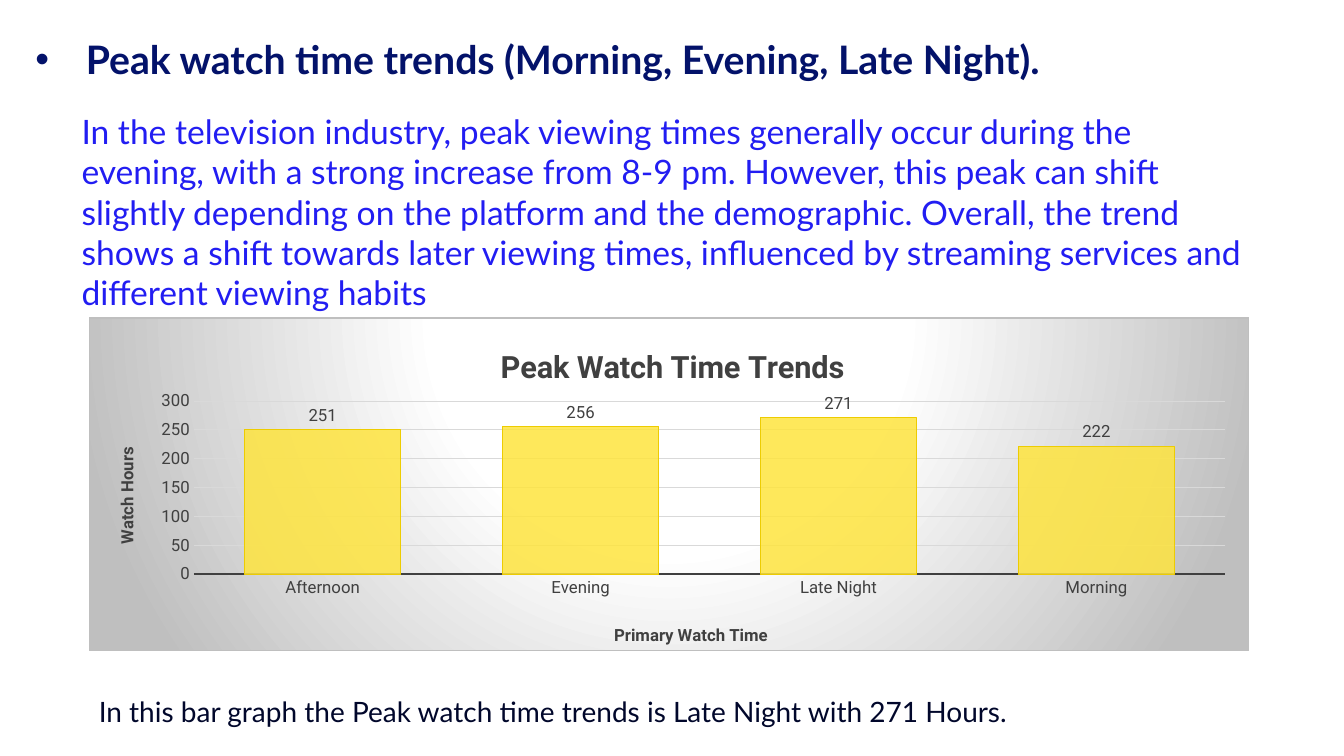
from lxml import etree
from pptx import Presentation
from pptx.chart.data import CategoryChartData
from pptx.dml.color import RGBColor
from pptx.enum.chart import XL_CHART_TYPE, XL_LABEL_POSITION, XL_TICK_MARK
from pptx.enum.text import MSO_ANCHOR, MSO_AUTO_SIZE, PP_ALIGN
from pptx.oxml import parse_xml
from pptx.oxml.ns import nsdecls, qn
from pptx.util import Cm, Pt

COLUMN = XL_CHART_TYPE.COLUMN_CLUSTERED
OUTSIDE = XL_LABEL_POSITION.OUTSIDE_END
NO_TICK = XL_TICK_MARK.NONE
TOP, LEFT = MSO_ANCHOR.TOP, PP_ALIGN.LEFT
GROW = MSO_AUTO_SIZE.SHAPE_TO_FIT_TEXT

NAVY = RGBColor(0x03, 0x12, 0x6A)
BLUE = RGBColor(0x22, 0x1D, 0xF2)
INK = RGBColor(0x01, 0x07, 0x2B)
BLACK = RGBColor(0, 0, 0)
DARK = RGBColor(0x40, 0x40, 0x40)
GRID = RGBColor(0xD9, 0xD9, 0xD9)
GREY = RGBColor(0xBF, 0xBF, 0xBF)
WHITE = RGBColor(0xFF, 0xFF, 0xFF)
YELLOW = RGBColor(0xFE, 0xE4, 0x3F)
GOLD = RGBColor(0xED, 0xCC, 0x01)

HEAD = "Peak watch time trends (Morning, Evening, Late Night)."
BODY = (
    "In the television industry, peak viewing times generally occur during "
    "the evening, with a strong increase from 8-9 pm. However, this peak can "
    "shift slightly depending on the platform and the demographic. Overall, "
    "the trend shows a shift towards later viewing times, influenced by "
    "streaming services and different viewing habits"
)
NOTE = "In this bar graph the Peak watch time trends is Late Night with 271 Hours."
HOURS = {"Afternoon": 251, "Evening": 256, "Late Night": 271, "Morning": 222}
STOPS = [(0, WHITE), (39, WHITE), (100, GREY)]


def set_font(font, size, color, name="Roboto", bold=False):
    font.size, font.name, font.bold = Pt(size), name, bold
    font.color.rgb = color


def fill_text(shape, box, text, size, color, bold=False, bullet=False):
    shape.left, shape.top, shape.width, shape.height = map(Cm, box)
    frame = shape.text_frame
    frame.text = text
    frame.word_wrap = True
    frame.auto_size = GROW
    frame.vertical_anchor = TOP
    para = frame.paragraphs[0]
    props = para._p.get_or_add_pPr()
    indent = Cm(1.27) if bullet else 0
    props.set("marL", str(indent))
    props.set("indent", str(-indent))
    if bullet:
        etree.SubElement(props, qn("a:buFont")).set("typeface", "Arial")
        etree.SubElement(props, qn("a:buChar")).set("char", "•")
    else:
        etree.SubElement(props, qn("a:buNone"))
    para.alignment = LEFT
    para.space_before = Pt(0)
    set_font(para.font, size, color, "Lato", bold)


def place(host, **spots):
    """Fix a chart part at fractions of the chart's size."""
    for old in host.findall(qn("c:layout")):
        host.remove(old)
    layout = etree.Element(qn("c:layout"))
    manual = etree.SubElement(layout, qn("c:manualLayout"))
    if "w" in spots:
        etree.SubElement(manual, qn("c:layoutTarget")).set("val", "inner")
    for key in "xy":
        etree.SubElement(manual, qn(f"c:{key}Mode")).set("val", "edge")
    for key, val in spots.items():
        etree.SubElement(manual, qn(f"c:{key}")).set("val", str(val))
    text = host.find(qn("c:tx"))
    if text is None:
        host.insert(0, layout)
    else:
        text.addnext(layout)


def add_title(title, text, size, x, y):
    frame = title.text_frame
    frame.text = text
    set_font(frame.paragraphs[0].font, size, DARK, bold=True)
    place(title.element, x=x, y=y)


def add_glow(chart):
    """Give the chart area its radial fill and thin border."""
    stops = "".join(
        f'<a:gs pos="{pos * 1000}"><a:srgbClr val="{color}"/></a:gs>'
        for pos, color in STOPS
    )
    area = parse_xml(
        f'<c:spPr {nsdecls("c", "a")}><a:gradFill><a:gsLst>{stops}</a:gsLst>'
        '<a:path path="circle"><a:fillToRect l="50000" t="-80000" r="50000" '
        'b="180000"/></a:path></a:gradFill><a:ln w="9525"><a:solidFill>'
        f'<a:srgbClr val="{GREY}"/></a:solidFill></a:ln></c:spPr>'
    )
    chart.element.find(qn("c:chart")).addnext(area)


def add_bars(slide):
    data = CategoryChartData()
    data.categories = list(HOURS)
    data.add_series("Series 1", list(HOURS.values()))
    box = map(Cm, (2.24, 8, 29.24, 8.41))
    chart = slide.shapes.add_chart(COLUMN, *box, data).chart
    set_font(chart.font, 10, BLACK)
    chart.has_legend = False
    add_glow(chart)
    add_title(chart.chart_title, "Peak Watch Time Trends", 22, 0.35, 0.07)

    cats, vals = chart.category_axis, chart.value_axis
    for axis in (cats, vals):
        axis.major_tick_mark = axis.minor_tick_mark = NO_TICK
        set_font(axis.tick_labels.font, 12, DARK)
    add_title(cats.axis_title, "Primary Watch Time", 12, 0.45, 0.91)
    add_title(vals.axis_title, "Watch Hours", 12, 0.02, 0.38)
    cats.format.line.color.rgb = DARK
    cats.format.line.width = Pt(1.5)
    vals.format.line.fill.background()
    vals.minimum_scale, vals.maximum_scale, vals.major_unit = 0, 300, 50
    grid = vals.major_gridlines.format.line
    grid.color.rgb, grid.width = GRID, Pt(0.75)

    plot = chart.plots[0]
    plot.gap_width = 65
    plot.vary_by_categories = False
    plot.has_data_labels = True
    labels = plot.data_labels
    labels.show_value = True
    labels.position = OUTSIDE
    set_font(labels.font, 12, DARK)
    look = plot.series[0].format
    look.fill.solid()
    look.fill.fore_color.rgb = YELLOW
    look.line.color.rgb, look.line.width = GOLD, Pt(0.75)
    color = chart.element.xpath(".//c:ser/c:spPr/a:solidFill/a:srgbClr")[0]
    etree.SubElement(color, qn("a:alpha")).set("val", "85000")
    area = chart.element.xpath("c:chart/c:plotArea")[0]
    place(area, x=0.09, y=0.25, w=0.89, h=0.52)


def main():
    deck = Presentation()
    deck.slide_width, deck.slide_height = Cm(33.87), Cm(19.05)
    slide = deck.slides.add_slide(deck.slide_layouts[1])
    head, body = slide.placeholders
    fill_text(head, (0.64, 0.76, 30.84, 1.45), HEAD, 28, NAVY, True, True)
    add_bars(slide)
    fill_text(body, (1.8, 2.67, 30.1, 4.37), BODY, 24, BLUE)
    note = slide.shapes.add_textbox(0, 0, 0, 0)
    fill_text(note, (2.24, 17.37, 29.46, 1.12), NOTE, 20, INK)
    deck.save("out.pptx")


if __name__ == "__main__":
    main()
